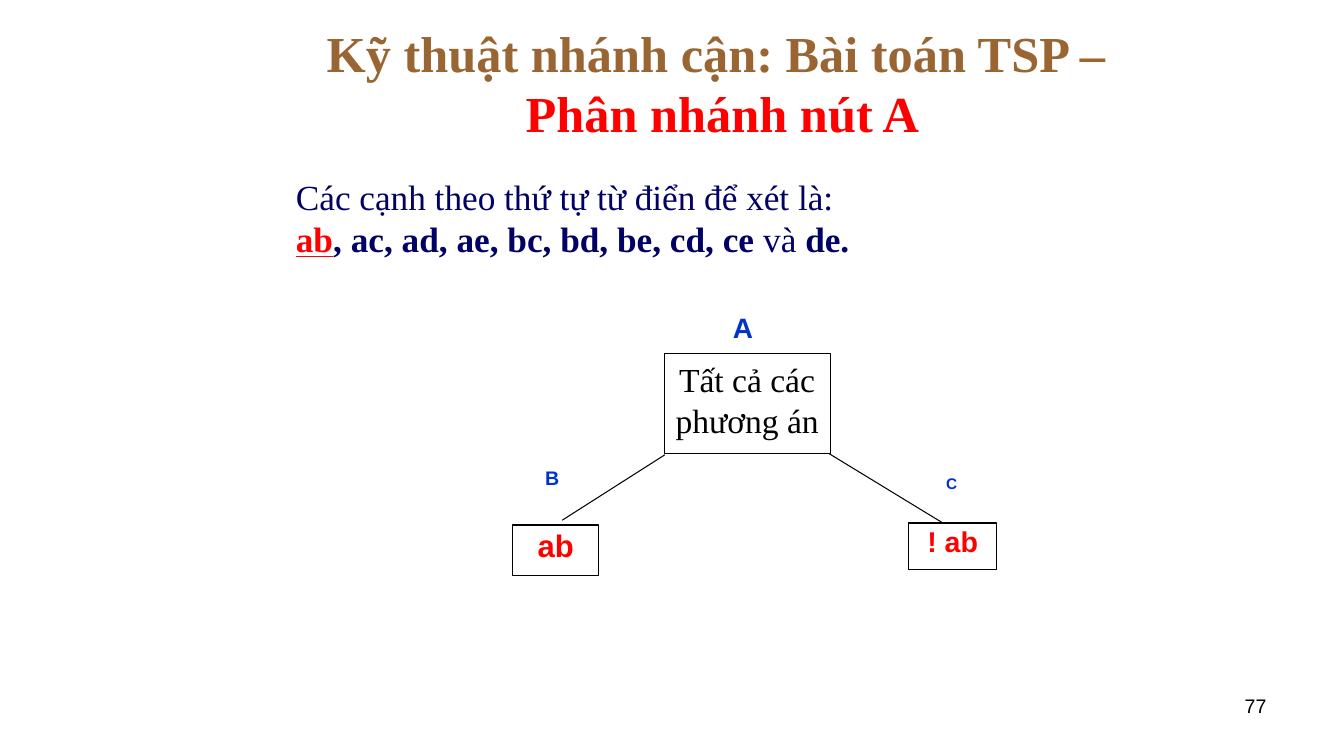
from dataclasses import dataclass
from pptx import Presentation
from pptx.dml.color import RGBColor
from pptx.enum.shapes import MSO_CONNECTOR, MSO_SHAPE
from pptx.enum.text import MSO_ANCHOR, MSO_AUTO_SIZE, PP_ALIGN
from pptx.oxml.ns import qn
from pptx.util import Cm, Pt
from lxml import etree

LEFT, MID, RIGHT = PP_ALIGN.LEFT, PP_ALIGN.CENTER, PP_ALIGN.RIGHT
TOP, CENTRE = MSO_ANCHOR.TOP, MSO_ANCHOR.MIDDLE
RECT, LINE = MSO_SHAPE.RECTANGLE, MSO_CONNECTOR.STRAIGHT
TITLE_ONLY = 5
BREAK = "\n"


@dataclass(frozen=True)
class Theme:
    serif: str = "Times New Roman"
    sans: str = "Arial"
    brown: str = "996633"
    red: str = "FF0000"
    navy: str = "000066"
    blue: str = "0033CC"
    black: str = "000000"
    head: float = 36
    body: float = 25.2
    root: float = 24
    page: float = 14
    rule: float = 0.75


THEME = Theme()


def place(cms):
    return [Cm(n) for n in cms]


def write(shape, runs, font, size, align=LEFT, anchor=TOP, pad=(0.25, 0.13), space=1):
    """Fill a shape with one paragraph of (text, colour, bold, underline) runs."""
    frame = shape.text_frame
    frame.word_wrap = True
    frame.auto_size = MSO_AUTO_SIZE.NONE
    frame.vertical_anchor = anchor
    frame.margin_left = frame.margin_right = Cm(pad[0])
    frame.margin_top = frame.margin_bottom = Cm(pad[1])
    para = frame.paragraphs[0]
    para.alignment = align
    para.line_spacing = space
    para.space_before = Pt(0)
    for item in runs:
        if item == BREAK:
            para.add_line_break()
            continue
        text, tone, bold, under = item
        run = para.add_run()
        run.text = text
        run.font.name = font
        run.font.size = Pt(size)
        run.font.color.rgb = RGBColor.from_string(tone)
        run.font.bold = bold
        run.font.underline = under


def add_text(slide, box, *args, **kwargs):
    shape = slide.shapes.add_textbox(*place(box))
    write(shape, *args, **kwargs)
    return shape


def add_label(slide, box, name, size, space=1):
    """Put the letter of a node above its box."""
    add_text(slide, box, [(name, THEME.blue, True, False)], THEME.sans, size,
             MID, pad=(0, 0), space=space)


def ink(line):
    line.color.rgb = RGBColor.from_string(THEME.black)
    line.width = Pt(THEME.rule)


def add_node(slide, box, run, font, size, space=1):
    shape = slide.shapes.add_shape(RECT, *place(box))
    shape.shadow.inherit = False
    shape.fill.background()
    ink(shape.line)
    write(shape, [run], font, size, MID, space=space)


def add_edge(slide, ends):
    edge = slide.shapes.add_connector(LINE, *place(ends))
    ink(edge.line)
    etree.SubElement(edge.element.spPr, qn("a:effectLst"))


def add_title(slide):
    title = slide.shapes.title
    title.left, title.top, title.width, title.height = place((4.24, 0.76, 27.94, 2.62))
    runs = [("Kỹ thuật nhánh cận: Bài toán TSP – ", THEME.brown, True, False), BREAK,
            ("Phân nhánh nút A", THEME.red, True, False)]
    write(title, runs, THEME.serif, THEME.head, MID, CENTRE)


def add_body(slide):
    runs = [("Các cạnh theo thứ tự từ điển để xét là:", THEME.navy, False, False), BREAK,
            ("ab", THEME.red, True, True),
            (", ac, ad, ae, bc, bd, be, cd, ce ", THEME.navy, True, False),
            ("và", THEME.navy, False, False),
            (" de.", THEME.navy, True, False)]
    add_text(slide, (7.21, 4.28, 21.27, 2.57), runs, THEME.serif, THEME.body)


def add_tree(slide):
    add_label(slide, (18.26, 7.82, 0.94, 1.04), "A", 20)
    add_node(slide, (16.74, 8.92, 4.19, 2.51),
             ("Tất cả các phương án", THEME.black, False, False), THEME.serif, THEME.root)
    leaves = [
        ("B", 14, (13.54, 11.86, 0.76, 0.61),
         "ab", 22.2, (12.93, 13.23, 2.16, 1.27), (16.76, 11.46, 14.17, 13.11)),
        ("C", 11, (23.42, 12.04, 1.14, 0.51),
         "! ab", 20.4, (22.91, 13.18, 2.21, 1.17), (20.9, 11.43, 23.77, 13.18)),
    ]
    for name, small, spot, text, size, box, ends in leaves:
        add_label(slide, spot, name, small, 0.8)
        add_node(slide, box, (text, THEME.red, True, False), THEME.sans, size, 0.9)
        add_edge(slide, ends)


def main():
    deck = Presentation()
    deck.slide_width, deck.slide_height = Cm(33.88), Cm(19.05)
    slide = deck.slides.add_slide(deck.slide_layouts[TITLE_ONLY])
    add_title(slide)
    add_body(slide)
    add_tree(slide)
    add_text(slide, (24.28, 17.35, 7.9, 1.32), [("77", THEME.black, False, False)],
             THEME.sans, THEME.page, RIGHT)
    deck.save("out.pptx")


if __name__ == "__main__":
    main()
